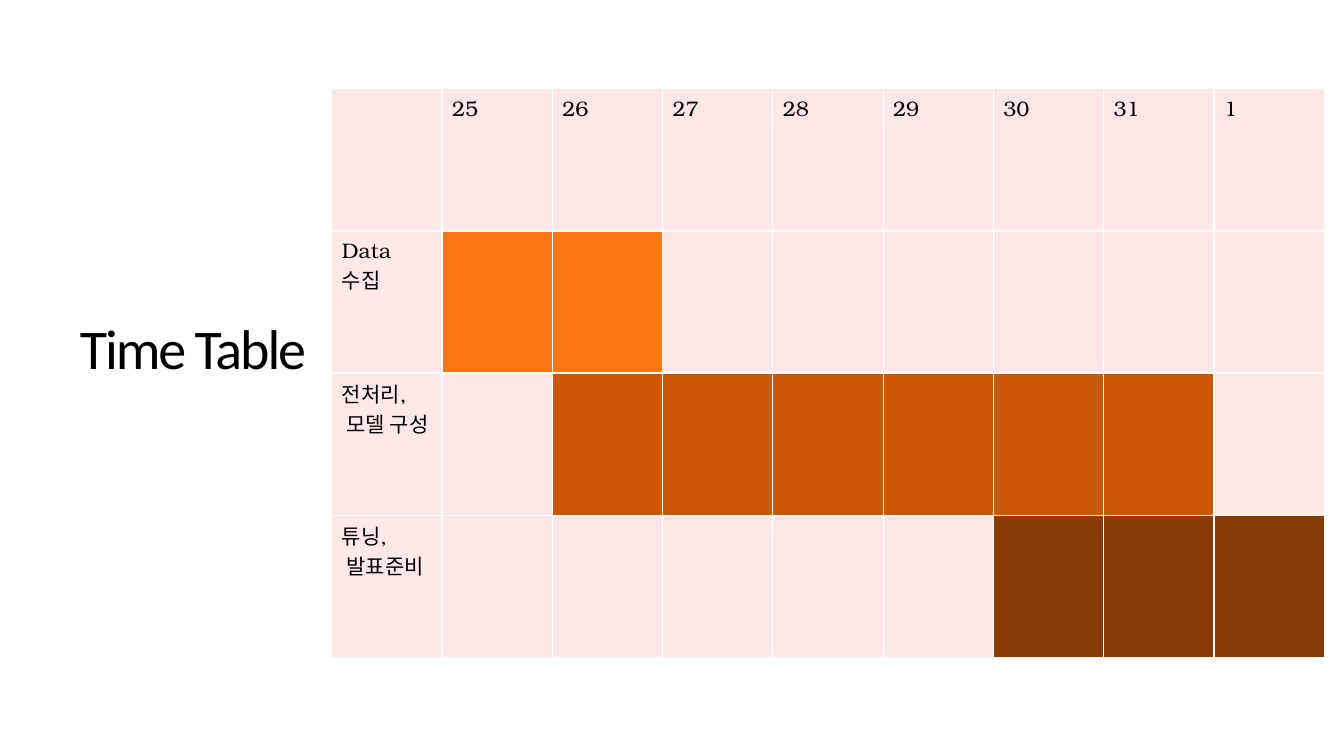
from lxml.etree import SubElement
from pptx import Presentation
from pptx.dml.color import RGBColor
from pptx.enum.text import MSO_ANCHOR, MSO_AUTO_SIZE, PP_ALIGN
from pptx.oxml.ns import qn
from pptx.util import Cm, Pt

DAYS = ["25", "26", "27", "28", "29", "30", "31", "1"]
TASKS = [
    (["Data\u00a0", "수집"], "25", "26", "FC7715"),
    (["전처리,", " 모델 구성"], "26", "31", "CA5703"),
    (["튜닝,", " 발표준비"], "30", "1", "873A02"),
]


def color(code):
    """Turn a hex string into a colour."""
    return RGBColor.from_string(code)


def write(frame, lines, font, size, ink="000000", align=PP_ALIGN.LEFT, lead=1.0, track=0):
    """Fill a text frame with one formatted paragraph per line."""
    for i, line in enumerate(lines):
        para = frame.add_paragraph() if i else frame.paragraphs[0]
        para.alignment, para.line_spacing = align, lead
        run = para.add_run()
        run.text = line
        run.font.name, run.font.size = font, Pt(size)
        run.font.color.rgb = color(ink)
        if track:
            run.font._element.set("spc", str(track))


class Board:
    """Holds the style and the current slide."""

    head = "Calibri"
    body = "TeX Gyre Bonum"
    blank = "FEE8E7"
    rule = "FFFFFF"

    def __init__(self, deck):
        """Add a title-only slide."""
        self.slide = deck.slides.add_slide(deck.slide_layouts[5])

    def title(self, text, x, y, w, h):
        """Place and format the title."""
        box = self.slide.shapes.title
        box.left, box.top, box.width, box.height = Cm(x), Cm(y), Cm(w), Cm(h)
        frame = box.text_frame
        frame.word_wrap, frame.auto_size = True, MSO_AUTO_SIZE.NONE
        frame.vertical_anchor = MSO_ANCHOR.MIDDLE
        frame.margin_left = frame.margin_right = Cm(0.64)
        frame.margin_top = frame.margin_bottom = Cm(0.64)
        write(frame, [text], self.head, 40, align=PP_ALIGN.CENTER, lead=0.85, track=-150)

    def cell(self, cell, fill, lines=()):
        """Border, fill and label one cell."""
        props = cell._tc.get_or_add_tcPr()
        for side in ("lnL", "lnR", "lnT", "lnB"):
            line = SubElement(props, qn(f"a:{side}"), w=str(Pt(1)))
            solid = SubElement(line, qn("a:solidFill"))
            SubElement(solid, qn("a:srgbClr"), val=self.rule)
        cell.fill.solid()
        cell.fill.fore_color.rgb = color(fill)
        write(cell.text_frame, lines, self.body, 15)

    def chart(self, days, tasks, x, y, wide, high):
        """Draw the schedule, with a bar of filled cells for each task."""
        rows, cols = len(tasks) + 1, len(days) + 1
        shape = self.slide.shapes.add_table(
            rows, cols, Cm(x), Cm(y), Cm(wide * cols), Cm(high * rows))
        table = shape.table
        table.first_row = table.horz_banding = False
        for col in table.columns:
            col.width = Cm(wide)
        for row in table.rows:
            row.height = Cm(high)
        self.cell(table.cell(0, 0), self.blank)
        for c, day in enumerate(days, 1):
            self.cell(table.cell(0, c), self.blank, [day])
        for r, (lines, start, end, fill) in enumerate(tasks, 1):
            self.cell(table.cell(r, 0), self.blank, lines)
            span = range(days.index(start), days.index(end) + 1)
            for c in range(len(days)):
                self.cell(table.cell(r, c + 1), fill if c in span else self.blank)


def main():
    """Build and save the slide."""
    deck = Presentation()
    deck.slide_width, deck.slide_height = Cm(33.87), Cm(19.05)
    board = Board(deck)
    board.title("Time Table", 0, 5.46, 9.73, 6.83)
    board.chart(DAYS, TASKS, 8.36, 2.24, 2.78, 3.58)
    deck.save("out.pptx")


if __name__ == "__main__":
    main()
